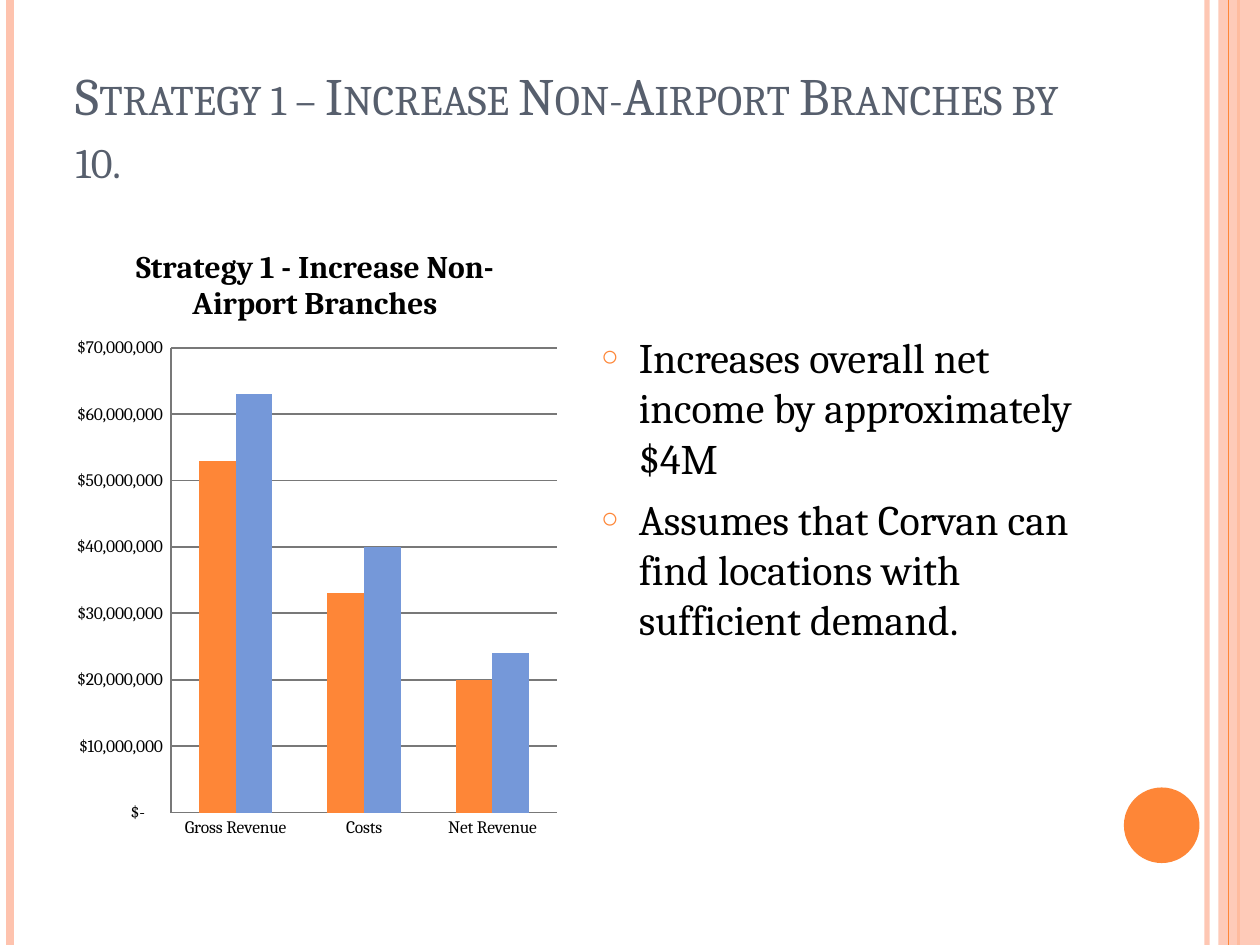
from lxml.etree import SubElement
from pptx import Presentation
from pptx.chart.data import CategoryChartData
from pptx.dml.color import RGBColor
from pptx.enum.chart import XL_CHART_TYPE, XL_TICK_MARK
from pptx.enum.shapes import MSO_CONNECTOR, MSO_SHAPE
from pptx.enum.text import MSO_ANCHOR, MSO_AUTO_SIZE, PP_ALIGN
from pptx.oxml.ns import qn
from pptx.util import Inches, Pt

FONT = "Cambria"
ORANGE, PEACH, BLUE = "FE8637", "FEC3AE", "7598D9"
SLATE, BLACK, GRAY = "575F6D", "000000", "787878"
HEIGHT = 7.5
CURRENCY = '_("$"* #,##0_);_("$"* \\(#,##0\\);_("$"* "-"??_);_(@_)'


def paint(color_format, color):
    color_format.rgb = RGBColor.from_string(color)


def style(font, size, color, bold=False):
    font.name, font.size, font.bold = FONT, Pt(size), bold
    paint(font.color, color)


def set_alpha(owner, percent):
    for color in owner.iter(qn("a:srgbClr")):
        SubElement(color, qn("a:alpha"), val=str(percent * 1000))


def place(part, box):
    part.left, part.top, part.width, part.height = map(Inches, box)


def add_solid(slide, preset, box, color):
    solid = slide.shapes.add_shape(preset, *map(Inches, box))
    solid.shadow.inherit = False
    solid.fill.solid()
    paint(solid.fill.fore_color, color)
    solid.line.fill.background()
    return solid


def add_stripe(slide, x, color, width):
    stripe = slide.shapes.add_connector(
        MSO_CONNECTOR.STRAIGHT, Inches(x), 0, Inches(x), Inches(HEIGHT))
    paint(stripe.line.color, color)
    stripe.line.width = Pt(width)
    SubElement(stripe._element.spPr, qn("a:effectLst"))
    return stripe


def add_frame(slide):
    set_alpha(add_stripe(slide, 9.58, PEACH, 3)._element, 93)
    add_stripe(slide, 0.08, PEACH, 4.5)
    add_stripe(slide, 9.83, ORANGE, 1.5)
    band = add_solid(slide, MSO_SHAPE.RECTANGLE, (9.67, 0, 0.33, HEIGHT), PEACH)
    set_alpha(band._element.spPr, 87)
    add_stripe(slide, 9.75, ORANGE, 0.75)
    add_solid(slide, MSO_SHAPE.OVAL, (8.92, 6.25, 0.6, 0.6), ORANGE)


def fill_title(title, box, wording):
    place(title, box)
    frame = title.text_frame
    frame.auto_size = MSO_AUTO_SIZE.NONE
    frame.vertical_anchor = MSO_ANCHOR.BOTTOM
    heading = frame.paragraphs[0]
    heading.alignment = PP_ALIGN.LEFT
    run = heading.add_run()
    run.text = wording
    style(run.font, 30, SLATE)
    run._r.get_or_add_rPr().set("cap", "small")


def fill_points(body, box, points):
    place(body, box)
    frame = body.text_frame
    frame.auto_size = MSO_AUTO_SIZE.NONE
    for index, wording in enumerate(points):
        point = frame.add_paragraph() if index else frame.paragraphs[0]
        point.space_before = Pt(6)
        properties = point._p.get_or_add_pPr()
        properties.set("marL", str(Inches(0.3)))
        properties.set("indent", str(-Inches(0.3)))
        bullet_color = SubElement(properties, qn("a:buClr"))
        SubElement(bullet_color, qn("a:srgbClr"), val=ORANGE)
        SubElement(properties, qn("a:buSzPct"), val="70000")
        SubElement(properties, qn("a:buChar"), char="○")
        run = point.add_run()
        run.text = wording
        style(run.font, 24, BLACK)


def fix_plot_area(chart, box, plot_box):
    left, top, width, height = box
    plot_left, plot_top, plot_width, plot_height = plot_box
    plot_area = chart._chartSpace.chart.plotArea
    for layout in plot_area.findall(qn("c:layout")):
        plot_area.remove(layout)
    layout = SubElement(plot_area, qn("c:layout"))
    plot_area.insert(0, layout)
    manual = SubElement(layout, qn("c:manualLayout"))
    settings = {
        "layoutTarget": "inner", "xMode": "edge", "yMode": "edge",
        "x": (plot_left - left) / width, "y": (plot_top - top) / height,
        "w": plot_width / width, "h": plot_height / height}
    for tag, value in settings.items():
        SubElement(manual, qn(f"c:{tag}"), val=str(value))


def add_revenue_chart(slide, box, plot_box, heading, categories, series):
    data = CategoryChartData()
    data.categories = categories
    for name, values, _ in series:
        data.add_series(name, values)
    chart = slide.shapes.add_chart(
        XL_CHART_TYPE.COLUMN_CLUSTERED, *map(Inches, box), data).chart
    style(chart.font, 10, BLACK)
    chart.has_legend = False
    chart.has_title = True
    run = chart.chart_title.text_frame.paragraphs[0].add_run()
    run.text = heading
    style(run.font, 18, BLACK, bold=True)
    fix_plot_area(chart, box, plot_box)

    plot = chart.plots[0]
    plot.vary_by_categories = False
    plot.gap_width, plot.overlap = 150, 0
    for bars, (_, _, color) in zip(plot.series, series):
        bars.format.fill.solid()
        paint(bars.format.fill.fore_color, color)

    dollars = chart.value_axis
    dollars.minimum_scale, dollars.maximum_scale = 0, 70_000_000
    dollars.major_unit = 10_000_000
    dollars.has_major_gridlines = True
    dollars.tick_labels.number_format = CURRENCY
    dollars.tick_labels.number_format_is_linked = False
    for axis in (dollars, chart.category_axis):
        axis.major_tick_mark = XL_TICK_MARK.NONE
        axis.minor_tick_mark = XL_TICK_MARK.NONE
    for part in (dollars, dollars.major_gridlines, chart.category_axis):
        paint(part.format.line.color, GRAY)
        part.format.line.width = Pt(1)


def build_strategy_slide(deck):
    slide = deck.slides.add_slide(deck.slide_layouts[1])
    add_frame(slide)
    fill_title(slide.shapes.title, (0.5, 0.3, 8.17, 1.25),
               "Strategy 1 – Increase Non-Airport Branches by 10.")
    add_revenue_chart(
        slide, (0.5, 1.75, 4, 5), (1.36, 2.76, 3.06, 3.69),
        "Strategy 1 - Increase Non-Airport Branches",
        ["Gross Revenue", "Costs", "Net Revenue"],
        [("Series 1", (53_000_000, 33_000_000, 20_000_000), ORANGE),
         ("Series 2", (63_000_000, 40_000_000, 24_000_000), BLUE)])
    fill_points(slide.placeholders[1], (4.67, 2.58, 4, 4.17), [
        "Increases overall net income by approximately $4M",
        "Assumes that Corvan can find locations with sufficient demand."])


deck = Presentation()
deck.slide_width, deck.slide_height = Inches(10), Inches(HEIGHT)
build_strategy_slide(deck)
deck.save("out.pptx")
